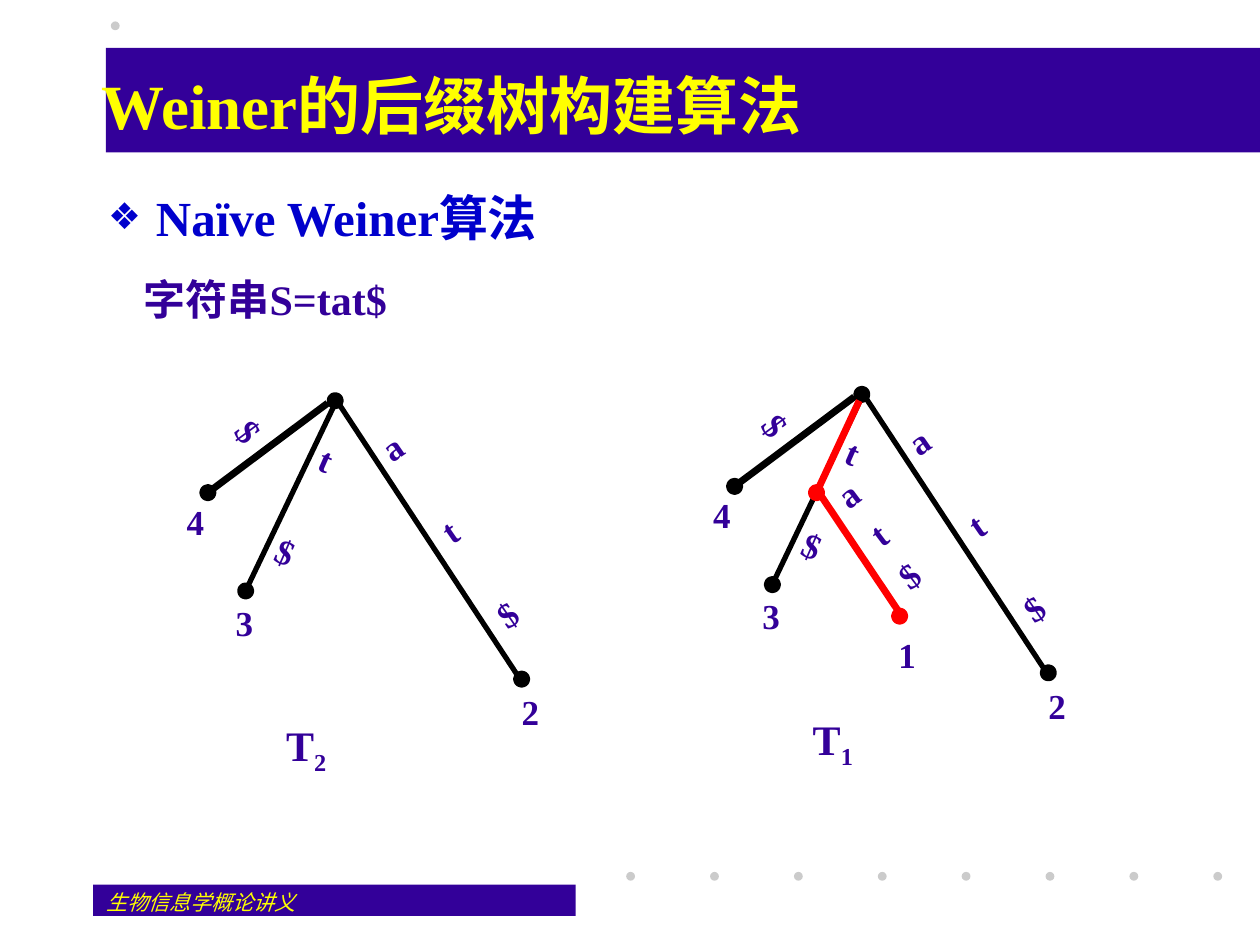
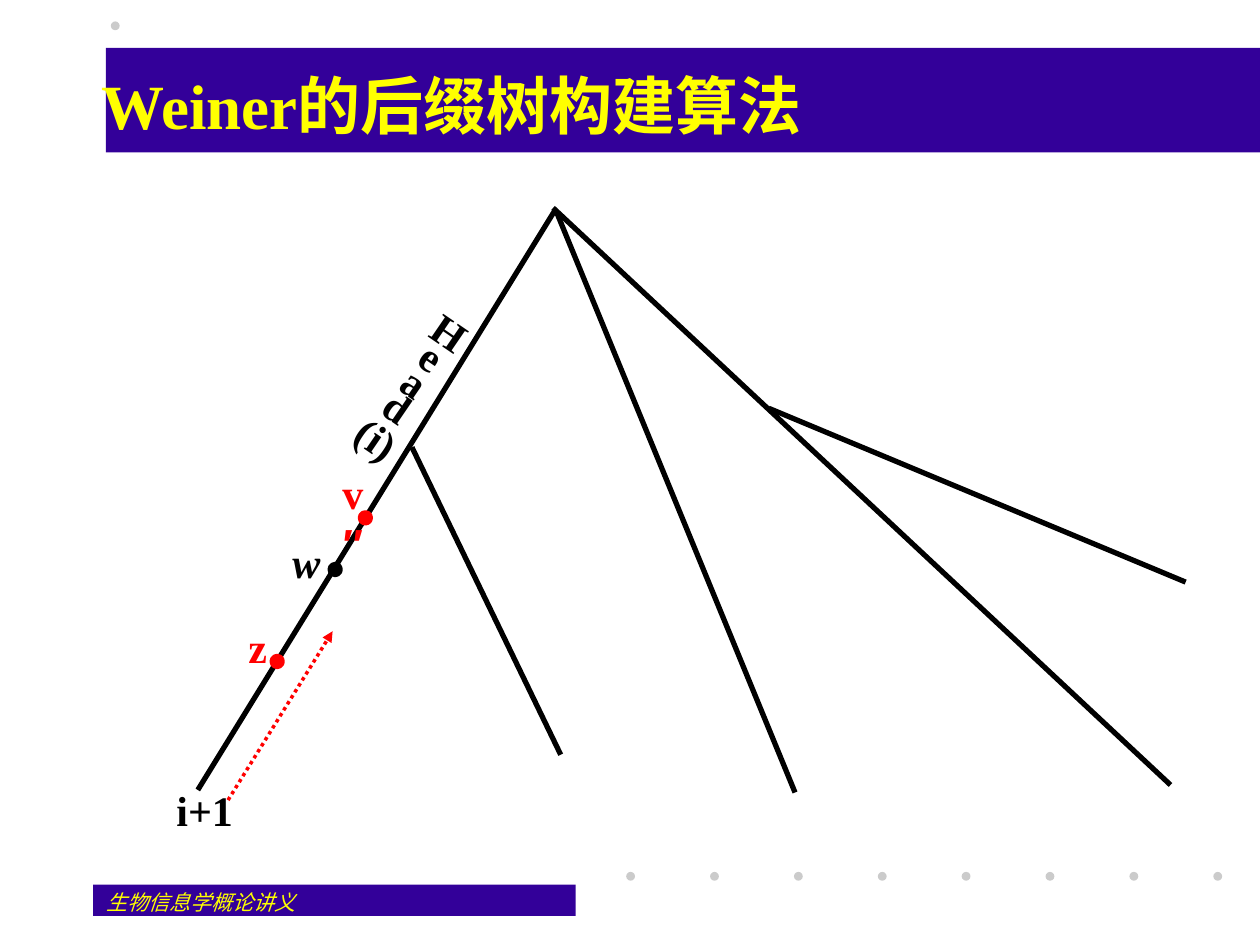
from lxml import etree
from pptx import Presentation
from pptx.dml.color import RGBColor
from pptx.enum import dml, shapes, text
from pptx.oxml.ns import qn
from pptx.util import Inches, Pt

HUES = {
    "band": "330099",
    "gold": "FFFF00",
    "blue": "0000CC",
    "dot": "CBCBCB",
    "ink": "000000",
    "red": "FF0000",
}
FACE = "Times New Roman"
LEFT, MID = text.PP_ALIGN.LEFT, text.PP_ALIGN.CENTER
NODE = 0.08


def hue(name):
    return RGBColor.from_string(HUES[name])


def shape(slide, kind, box, color, edge=0):
    item = slide.shapes.add_shape(kind, *map(Inches, box))
    item.shadow.inherit = False
    item.fill.solid()
    item.fill.fore_color.rgb = hue(color)
    if edge:
        item.line.color.rgb = hue(color)
        item.line.width = Pt(edge)
    else:
        item.line.fill.background()
    return item


def band(slide, *box):
    shape(slide, shapes.MSO_SHAPE.RECTANGLE, box, "band")


def dot(slide, x, y, size=0.07, color="dot", edge=0):
    shape(slide, shapes.MSO_SHAPE.OVAL, (x, y, size, size), color, edge)


def node(slide, x, y, color="ink", edge=4):
    dot(slide, x, y, NODE, color, edge)


def edge(slide, start, end, width=3, color="ink"):
    line = slide.shapes.add_connector(
        shapes.MSO_CONNECTOR.STRAIGHT, *map(Inches, start + end))
    line.line.color.rgb = hue(color)
    line.line.width = Pt(width)
    etree.SubElement(line._element.spPr, qn("a:effectLst"))
    return line


def arrow(slide, start, end):
    line = edge(slide, start, end, 2, "red")
    line.line.dash_style = dml.MSO_LINE.ROUND_DOT
    tip = etree.SubElement(line.line._get_or_add_ln(), qn("a:tailEnd"))
    tip.set("type", "triangle")


def label(slide, box, lines, size, color="band", align=MID, wrap=False,
          pad=(0, 0), bold=True, italic=False, turn=0, gap=0):
    item = slide.shapes.add_textbox(*map(Inches, box))
    item.rotation = turn
    frame = item.text_frame
    frame.word_wrap = wrap
    frame.margin_left = frame.margin_right = Inches(pad[0])
    frame.margin_top = frame.margin_bottom = Inches(pad[1])
    frame.text = "\n".join(lines)
    for i, para in enumerate(frame.paragraphs):
        para.alignment = align
        if i and gap:
            para.space_before = Pt(gap)
        font = para.font
        font.name, font.size = FACE, Pt(size)
        font.bold, font.italic = bold, italic
        font.color.rgb = hue(color)
    return frame


def mark(slide, x, y, word):
    label(slide, (x, y, 0.14, 0.33), [word], 20)


def strip(slide, box, word, turn, gap=34):
    label(slide, box, word, 20, wrap=True, turn=turn, gap=gap)


def base(deck):
    slide = deck.slides.add_slide(deck.slide_layouts[6])
    band(slide, 0.74, 7.02, 3.83, 0.25)
    for i in range(8):
        dot(slide, 4.97 + i * 4.66 / 7, 6.92)
    band(slide, 0.84, 0.38, 9.16, 0.83)
    dot(slide, 0.88, 0.17)
    label(slide, (0.75, 7.01, 2.08, 0.25), ["生物信息学概论讲义"], 12, "gold",
          LEFT, True, (0.1, 0.05), False, True)
    title = label(slide, (0.71, 0.33, 8.9, 1), ["Weiner的后缀树构建算法"], 36,
                  "gold", LEFT, True, (0.1, 0.05))
    title.vertical_anchor = text.MSO_ANCHOR.MIDDLE
    return slide


def bullet(slide, box, words):
    frame = label(slide, box, [""], 28, "blue", LEFT, True, (0.1, 0.05))
    para = frame.paragraphs[0]
    props = para._p.get_or_add_pPr()
    props.set("marL", str(Inches(0.38)))
    props.set("indent", str(-Inches(0.38)))
    parts = [etree.Element(qn("a:" + tag))
             for tag in ("buClr", "buSzPct", "buFont", "buChar")]
    tint, size, face, char = parts
    etree.SubElement(tint, qn("a:srgbClr")).set("val", HUES["blue"])
    size.set("val", "75000")
    face.set("typeface", "Arial")
    char.set("char", "❖")
    for i, part in enumerate(parts):
        props.insert(i, part)
    para.add_run().text = words


def tree(slide, dx, dy, sub):
    def at(x, y):
        return x + dx, y + dy

    for start, end, width in (
            ((2.68, 3.16), (1.93, 4.73), 3),
            ((2.66, 3.16), (4.16, 5.44), 3),
            ((2.6, 3.2), (1.65, 3.91), 4)):
        edge(slide, at(*start), at(*end), width)
    for spot in ((2.62, 3.14), (1.91, 4.65), (4.1, 5.35), (1.61, 3.87)):
        node(slide, *at(*spot))
    strip(slide, at(2.34, 3.44) + (0.18, 1.14), "t$", 23.6)
    strip(slide, at(1.87, 3.26) + (0.22, 0.33), "$", 53.4)
    strip(slide, at(3.47, 3.24) + (0.19, 1.94), "at$", 325.4)
    for word, x, y in (("2", 4.14, 5.48), ("3", 1.87, 4.77),
                       ("4", 1.48, 3.97)):
        mark(slide, *at(x, y), word)
    name = label(slide, at(2.27, 5.71) + (0.32, 0.46), ["T"], 24)
    low = name.paragraphs[0].add_run()
    low.text = sub
    low._r.get_or_add_rPr().set("baseline", "-25000")


def branch(slide):
    edge(slide, (6.82, 3.18), (6.48, 3.91), 4, "red")
    node(slide, 6.44, 3.87, "red")
    strip(slide, (6.85, 3.67, 0.24, 1.14), "at$", 323, 5)
    edge(slide, (6.5, 3.91), (7.13, 4.85), 4, "red")
    node(slide, 7.1, 4.85, "red")
    mark(slide, 7.13, 5.03, "1")


def naive(deck):
    slide = base(deck)
    bullet(slide, (0.76, 1.44, 8.9, 5.38), "Naïve Weiner算法")
    tree(slide, 0, 0, "2")
    tree(slide, 4.18, -0.05, "1")
    branch(slide)
    label(slide, (1.14, 2.17, 2.01, 0.4), ["字符串S=tat$"], 24, align=LEFT)


def climb(deck):
    slide = base(deck)
    for start, end in (
            ((4.41, 1.66), (1.57, 6.27)),
            ((3.27, 3.55), (4.45, 5.99)),
            ((4.39, 1.65), (9.29, 6.23)),
            ((6.1, 3.24), (9.41, 4.62)),
            ((4.42, 1.69), (6.31, 6.29))):
        edge(slide, start, end)
    for x, y, color in ((2.62, 4.48, "ink"), (2.86, 4.07, "red"),
                        (2.16, 5.21, "red")):
        node(slide, x, y, color, 3)
    label(slide, (1.4, 6.23, 0.45, 0.4), ["i+1"], 24, "ink")
    label(slide, (2.32, 4.26, 0.22, 0.4), ["w"], 24, "ink", italic=True)
    head = label(slide, (3.07, 2.47, 0.35, 1.28), [*"Head", "(i)"], 24, "ink",
                 wrap=True, turn=34.4)
    for para in head.paragraphs:
        para.line_spacing = 0.8 if para.text == "(i)" else 0.6
    prime = label(slide, (2.64, 3.71, 0.32, 0.4), ["v"], 24, "red", wrap=True)
    tick = prime.paragraphs[0].add_run()
    tick.text = "″"
    tick.font.name = "Arial"
    label(slide, (1.97, 4.93, 0.15, 0.4), ["z"], 24, "red")
    arrow(slide, (1.81, 6.35), (2.64, 5.01))


def main():
    deck = Presentation()
    deck.slide_width, deck.slide_height = Inches(10), Inches(7.5)
    naive(deck)
    climb(deck)
    deck.save("out.pptx")


if __name__ == "__main__":
    main()
